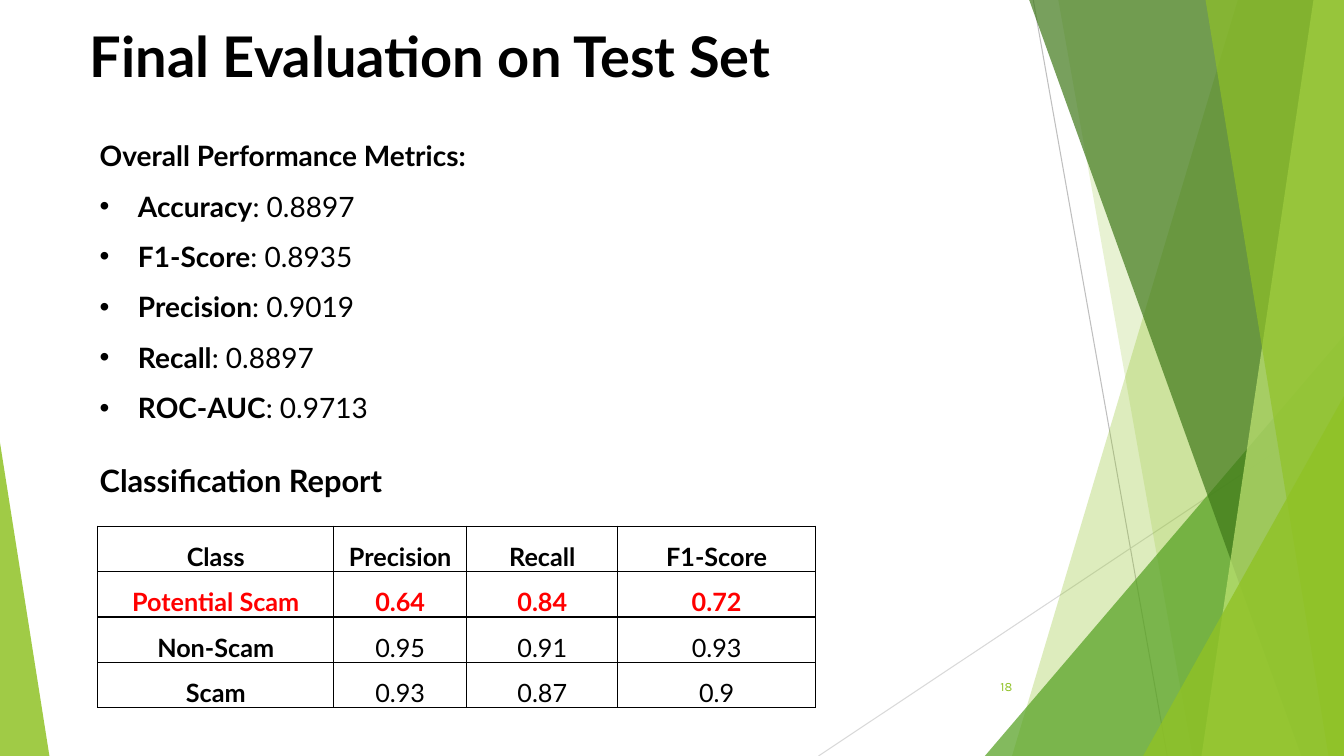
from lxml import etree
from pptx import Presentation, util as u
from pptx.dml.color import RGBColor
from pptx.enum import shapes, text
from pptx.oxml.ns import qn

COLOURS = {"ink": "000000", "alert": "FF0000", "lime": "90C226", "pale": "C0E474",
           "green": "54A021", "forest": "3F7819", "grey": "BFBFBF", "mist": "D9D9D9"}
WIDTH, HEIGHT = u.Inches(13.333), u.Inches(7.5)
MARGIN = 6.68  # left edge of the text, in columns

METRICS = [("Accuracy", "0.8897"), ("F1-Score", "0.8935"), ("Precision", "0.9019"),
           ("Recall", "0.8897"), ("ROC-AUC", "0.9713")]
REPORT = [("Class", "Precision", "Recall", "F1-Score"),
          ("Potential Scam", "0.64", "0.84", "0.72"),
          ("Non-Scam", "0.95", "0.91", "0.93"),
          ("Scam", "0.93", "0.87", "0.9")]
REPORT_COLUMNS = [17.55, 9.9, 11.25, 14.7]
REPORT_ROW = 6

# Right-hand panels: top-left column, bottom-left column, colour, opacity
BACK_PANELS = [(92.1, 75.3, "lime", 30), (78.75, 88.73, "lime", 20)]
FRONT_PANELS = [(76.58, 96.83, "forest", 70), (97.73, 89.4, "pale", 70),
                (89.7, 98.85, "lime", 65)]


# The slide is a grid of 100 columns by 100 rows
def across(columns):
    return round(WIDTH * columns / 100)


def down(rows):
    return round(HEIGHT * rows / 100)


def area(left, top, width, height):
    return across(left), down(top), across(width), down(height)


def colour(name):
    return RGBColor.from_string(COLOURS[name])


def paint(shape, name, opacity):
    shape.shadow.inherit = False
    shape.line.fill.background()
    shape.fill.solid()
    shape.fill.fore_color.rgb = colour(name)
    tint = shape.fill._xPr.find(qn("a:solidFill"))[0]
    etree.SubElement(tint, qn("a:alpha"), val=str(opacity * 1000))


def add_panel(page, top_left, bottom_left, name, opacity):
    builder = page.shapes.build_freeform(across(top_left), 0)
    builder.add_line_segments([(WIDTH, 0), (WIDTH, HEIGHT), (across(bottom_left), HEIGHT)])
    paint(builder.convert_to_shape(), name, opacity)


def add_triangle(page, left, top, width, apex, name, opacity):
    triangle = page.shapes.add_shape(shapes.MSO_SHAPE.ISOSCELES_TRIANGLE,
                                     *area(left, top, width, 100 - top))
    triangle.adjustments[0] = apex
    paint(triangle, name, opacity)


def add_line(page, start, end, name):
    line = page.shapes.add_connector(shapes.MSO_CONNECTOR.STRAIGHT, across(start[0]),
                                     down(start[1]), across(end[0]), down(end[1]))
    line.line.color.rgb = colour(name)
    line.line.width = u.Pt(0.75)
    etree.SubElement(line._element.spPr, qn("a:effectLst"))


def write(para, words, size=20, font="Lato", ink="ink", bold=False, spacing=1.0,
          after=0, align=text.PP_ALIGN.JUSTIFY):
    para.alignment = align
    para.line_spacing = spacing
    para.space_before, para.space_after = u.Pt(0), u.Pt(after)
    span = para.add_run()
    span.text = words
    span.font.size, span.font.name, span.font.bold = u.Pt(size), font, bold
    span.font.color.rgb = colour(ink)


def add_bullet(para):
    props = para._p.get_or_add_pPr()
    props.set("marL", str(u.Inches(0.38)))
    props.set("indent", str(-u.Inches(0.38)))
    etree.SubElement(props, qn("a:buFont"), typeface="Arial")
    etree.SubElement(props, qn("a:buChar"), char="•")


def add_box(page, *place, anchor=text.MSO_ANCHOR.TOP):
    frame = page.shapes.add_textbox(*area(*place)).text_frame
    frame.word_wrap = True
    frame.vertical_anchor = anchor
    return frame


def add_title(page, words):
    title = page.shapes.title
    title.left, title.top, title.width, title.height = area(MARGIN, 2.8, 78.75, 8.93)
    frame = title.text_frame
    frame.margin_left = frame.margin_top = frame.margin_right = frame.margin_bottom = 0
    frame.vertical_anchor = text.MSO_ANCHOR.TOP
    frame.auto_size = text.MSO_AUTO_SIZE.SHAPE_TO_FIT_TEXT
    write(frame.paragraphs[0], words, size=40, bold=True)


def add_metrics(page):
    frame = add_box(page, MARGIN, 15.47, 92.03, 41.07)
    write(frame.paragraphs[0], "Overall Performance Metrics:", bold=True, spacing=1.5)
    for name, value in METRICS:
        para = frame.add_paragraph()
        write(para, name, bold=True, spacing=1.5)
        write(para, f": {value}", spacing=1.5)
        add_bullet(para)


def add_borders(cell):
    props = cell._tc.get_or_add_tcPr()
    for position, side in enumerate(("lnL", "lnR", "lnT", "lnB")):
        edge = etree.Element(qn(f"a:{side}"), w=str(u.Pt(1)))
        fill = etree.SubElement(edge, qn("a:solidFill"))
        etree.SubElement(fill, qn("a:srgbClr"), val=COLOURS["ink"])
        props.insert(position, edge)


def add_report(page):
    place = area(7.28, 69.6, sum(REPORT_COLUMNS), REPORT_ROW * len(REPORT))
    table = page.shapes.add_table(len(REPORT), len(REPORT_COLUMNS), *place).table
    table.first_row = table.horz_banding = False
    for column, width in zip(table.columns, REPORT_COLUMNS):
        column.width = across(width)
    for r, values in enumerate(REPORT):
        for c, value in enumerate(values):
            cell = table.cell(r, c)
            cell.fill.background()
            cell.vertical_anchor = text.MSO_ANCHOR.MIDDLE
            cell.margin_left = cell.margin_right = u.Inches(0.07)
            cell.margin_top = cell.margin_bottom = 0
            write(cell.text_frame.paragraphs[0], value, size=18, spacing=1.5, after=8,
                  ink="alert" if r == 1 else "ink", bold=r < 2 or c == 0,
                  align=text.PP_ALIGN.CENTER)
            add_borders(cell)


def add_backdrop(page):
    add_line(page, (76.88, 0), (86.85, 100), "grey")
    add_line(page, (100, 53.73), (60.9, 100), "mist")
    for panel in BACK_PANELS:
        add_panel(page, *panel)
    add_triangle(page, 73.28, 44.4, 26.72, 1, "green", 72)
    for panel in FRONT_PANELS:
        add_panel(page, *panel)
    add_triangle(page, 85.05, 52.4, 14.95, 1, "lime", 80)
    add_triangle(page, 0, 58.53, 3.68, 0, "lime", 85)


def main():
    deck = Presentation()
    deck.slide_width, deck.slide_height = WIDTH, HEIGHT
    page = deck.slides.add_slide(deck.slide_layouts.get_by_name("Title Only"))

    add_backdrop(page)
    add_title(page, "Final Evaluation on Test Set")

    # Page number
    number = add_box(page, 70.43, 88.13, 5.63, 5.33, anchor=text.MSO_ANCHOR.MIDDLE)
    write(number.paragraphs[0], "18", size=9, font="Karla", ink="lime",
          align=text.PP_ALIGN.RIGHT)

    # Metrics and class report
    add_metrics(page)
    heading = add_box(page, MARGIN, 60.4, 92.03, 6.27)
    write(heading.paragraphs[0], "Classification Report", size=22, bold=True)
    add_report(page)

    deck.save("out.pptx")


if __name__ == "__main__":
    main()
